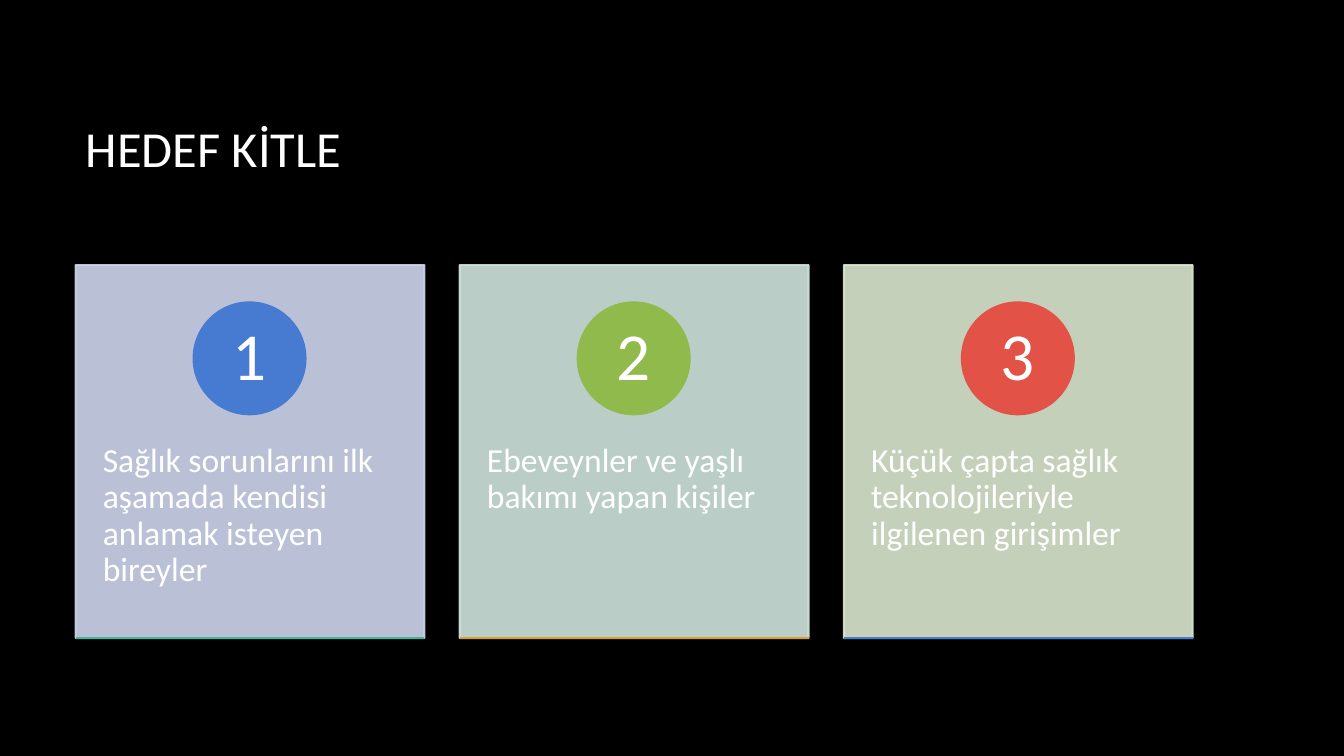
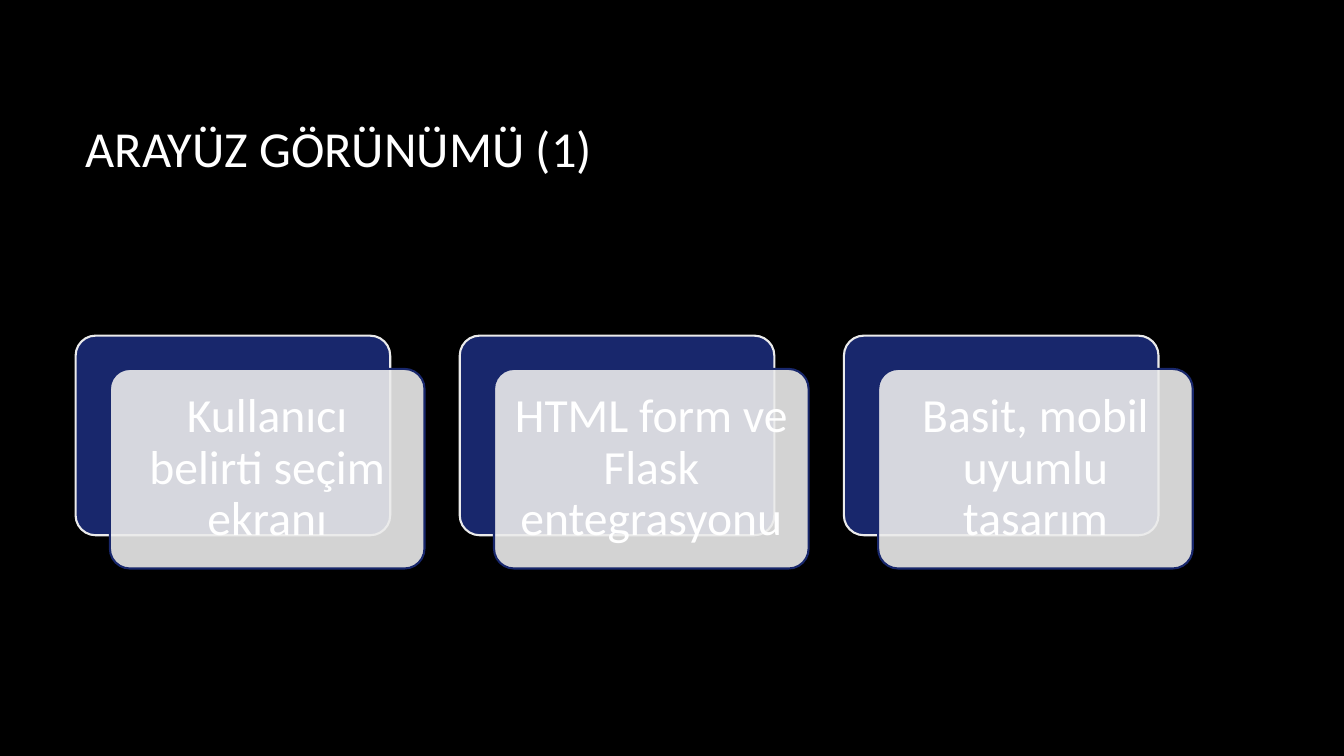
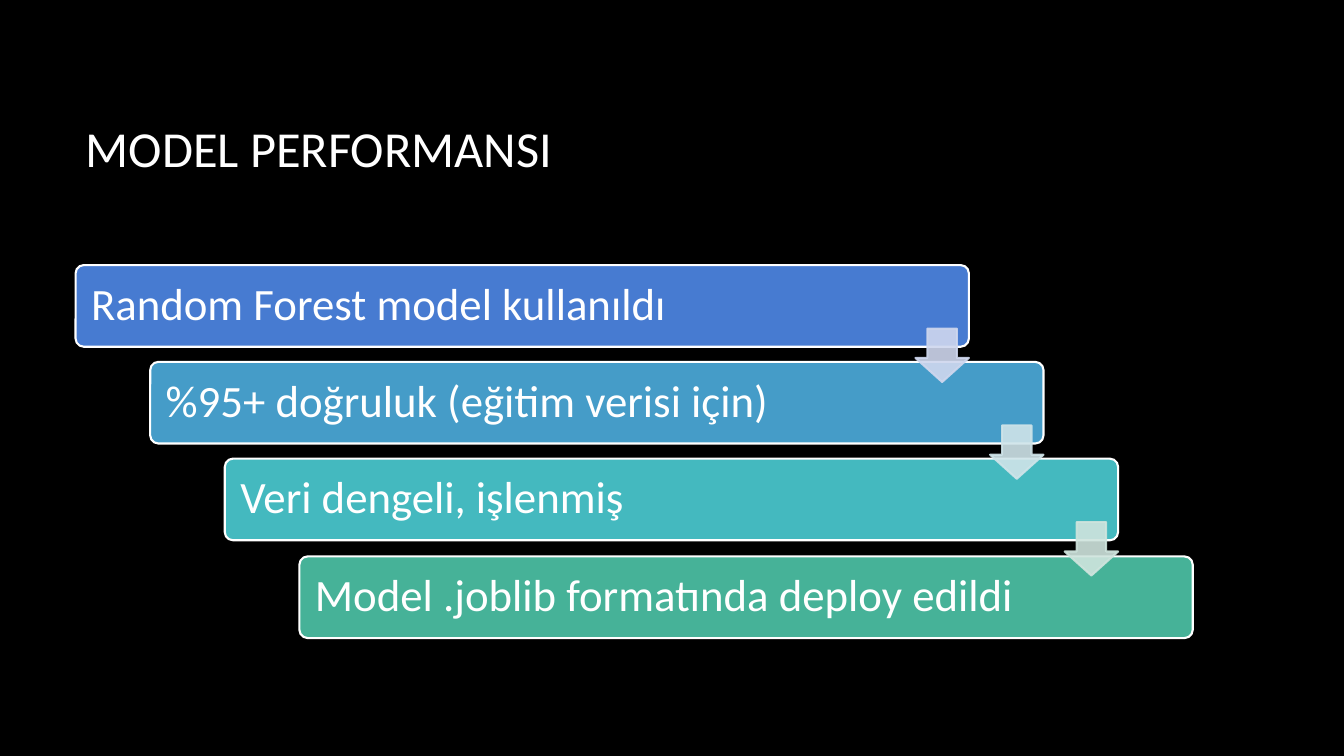
from pptx import Presentation, util as u
from pptx.dml.color import RGBColor
from pptx.enum import shapes, text
from pptx.oxml import ns, xmlchemy

PX = 9144  # EMU in one px, 100 px to the inch
FONT = "Calibri"
HUE = {
    "black": "000000", "white": "FFFFFF", "grey": "EBEBEB", "navy": "18276C",
    "blue": "477BD1", "sky": "459CC8", "aqua": "44B9BF", "teal": "46B298",
    "green": "90BA4C", "red": "E25247", "gold": "DD9D31",
    "lilac": "CFD7EE", "ice": "CFE4E9", "mint": "CFE4DD", "lime": "DBE7D0",
}
KIND = shapes.MSO_SHAPE
SIDE = text.PP_ALIGN
ROW = text.MSO_ANCHOR

TITLE = (75, 67, 1108, 159)
BODY = (75, 263, 1108, 370)
CARDS = [
    ("Sağlık sorunlarını ilk aşamada kendisi anlamak isteyen bireyler", "lilac", "blue", "teal"),
    ("Ebeveynler ve yaşlı bakımı yapan kişiler", "mint", "green", "gold"),
    ("Küçük çapta sağlık teknolojileriyle ilgilenen girişimler", "lime", "red", "blue"),
]
VIEWS = ["Kullanıcı belirti seçim ekranı", "HTML form ve Flask entegrasyonu",
         "Basit, mobil uyumlu tasarım"]
STEPS = [
    ("Random Forest model kullanıldı", "blue", "lilac"),
    ("%95+ doğruluk (eğitim verisi için)", "sky", "ice"),
    ("Veri dengeli, işlenmiş", "aqua", "mint"),
    ("Model .joblib formatında deploy edildi", "teal", None),
]


def color(name):
    return RGBColor.from_string(HUE[name])


def scale(*sizes):
    return [size * PX for size in sizes]


def write(shape, words, size, side=SIDE.LEFT, row=ROW.MIDDLE, pads=(10, 5, 10, 5), lead=0.9):
    """Fill a shape with one paragraph; pads are left, top, right, bottom."""
    frame = shape.text_frame
    frame.text = words
    left, top, right, bottom = scale(*pads)
    para = frame.paragraphs[0]
    looks = [
        (frame, dict(word_wrap=True, auto_size=text.MSO_AUTO_SIZE.NONE, vertical_anchor=row,
                     margin_left=left, margin_top=top, margin_right=right, margin_bottom=bottom)),
        (para, dict(alignment=side, line_spacing=lead)),
        (para.runs[0].font, dict(name=FONT, size=u.Pt(size))),
    ]
    for target, values in looks:
        for key, value in values.items():
            setattr(target, key, value)
    para.runs[0].font.color.rgb = color("white")


def draw(slide, kind, box, fill, line=None, sheer=False, adjust=()):
    """Add a shape; sheer makes its fill colour 90% opaque."""
    shape = slide.shapes.add_shape(kind, *scale(*box))
    shape.shadow.inherit = False
    shape.fill.solid()
    shape.fill.fore_color.rgb = color(fill)
    shape.line.color.rgb = color(line or fill)
    shape.line.width = u.Pt(1.5)
    for i, value in enumerate(adjust):
        shape.adjustments[i] = value
    if sheer:
        for node in shape.element.spPr.iter(ns.qn("a:srgbClr")):
            if node.get("val") == HUE[fill]:
                alpha = xmlchemy.OxmlElement("a:alpha")
                alpha.set("val", "90000")
                node.append(alpha)
    return shape


def rule(slide, x, y, wide, hue):
    line = slide.shapes.add_connector(shapes.MSO_CONNECTOR.STRAIGHT, *scale(x, y, x + wide, y))
    line.line.color.rgb = color(hue)
    line.line.width = u.Pt(1.5)
    line.element.spPr.append(xmlchemy.OxmlElement("a:effectLst"))


def card(slide, box, number, words, fill, badge, edge):
    x, y, wide, high = box
    panel = draw(slide, KIND.RECTANGLE, box, fill, sheer=True)
    write(panel, words, 24, row=ROW.TOP, pads=(27, 177, 27, 36))
    size = 111
    disc = draw(slide, KIND.OVAL, (x + (wide - size) // 2, y + 37, size, size), badge)
    write(disc, str(number), 48, SIDE.CENTER, pads=(9, 1, 9, 1))
    rule(slide, x, y + high, wide, edge)


def view(slide, box, words):
    """Place a label in front of a dark plate, both inside the box."""
    x, y, wide, high = box
    dx, dy = 34, 33
    size = (wide - dx, high - dy)
    draw(slide, KIND.ROUNDED_RECTANGLE, (x, y, *size), "navy", "grey", adjust=[0.1])
    front = draw(slide, KIND.ROUNDED_RECTANGLE, (x + dx, y + dy, *size), "grey", "navy",
                 sheer=True, adjust=[0.1])
    write(front, words, 34, SIDE.CENTER, pads=(14, 14, 14, 14))


def columns(box, count, gap):
    x, y, wide, high = box
    each = (wide - gap * (count - 1)) // count
    return [(x + i * (each + gap), y, each, high) for i in range(count)]


def stairs(slide, box, steps):
    """Step bars down to the right, then lay the arrows over their joints."""
    x, y, wide, high = box
    bar, tall, tip = 886, 81, 53
    last = len(steps) - 1
    spots = [(x + i * (wide - bar) // last, y + i * (high - tall) // last)
             for i in range(len(steps))]
    for (left, top), (words, fill, _) in zip(spots, steps):
        shape = draw(slide, KIND.ROUNDED_RECTANGLE, (left, top, bar, tall), fill, "white",
                     adjust=[0.1])
        write(shape, words, 32, pads=(13, 13, 13, 13))
    for (left, top), (_, _, hue) in zip(spots, steps[:-1]):
        draw(slide, KIND.DOWN_ARROW, (left + bar - tip, top + 63, tip, tip), hue,
             sheer=True, adjust=[0.55, 0.45])


def page(deck, title):
    slide = deck.slides.add_slide(deck.slide_layouts[5])
    head = slide.shapes.title
    for key, value in zip(("left", "top", "width", "height"), scale(*TITLE)):
        setattr(head, key, value)
    write(head, title, 36, lead=1.0)
    return slide


def main():
    deck = Presentation()
    deck.slide_width, deck.slide_height = scale(1333, 750)
    back = deck.slide_master.background.fill
    back.solid()
    back.fore_color.rgb = color("black")

    slide = page(deck, "HEDEF KİTLE")
    for i, (box, facts) in enumerate(zip(columns(BODY, 3, 35), CARDS), 1):
        card(slide, box, i, *facts)

    slide = page(deck, "ARAYÜZ GÖRÜNÜMÜ (1)")
    x, y, wide, _ = BODY
    for box, words in zip(columns((x, y + 70, wide, 231), 3, 35), VIEWS):
        view(slide, box, words)

    stairs(page(deck, "MODEL PERFORMANSI"), BODY, STEPS)
    deck.save("out.pptx")


if __name__ == "__main__":
    main()
